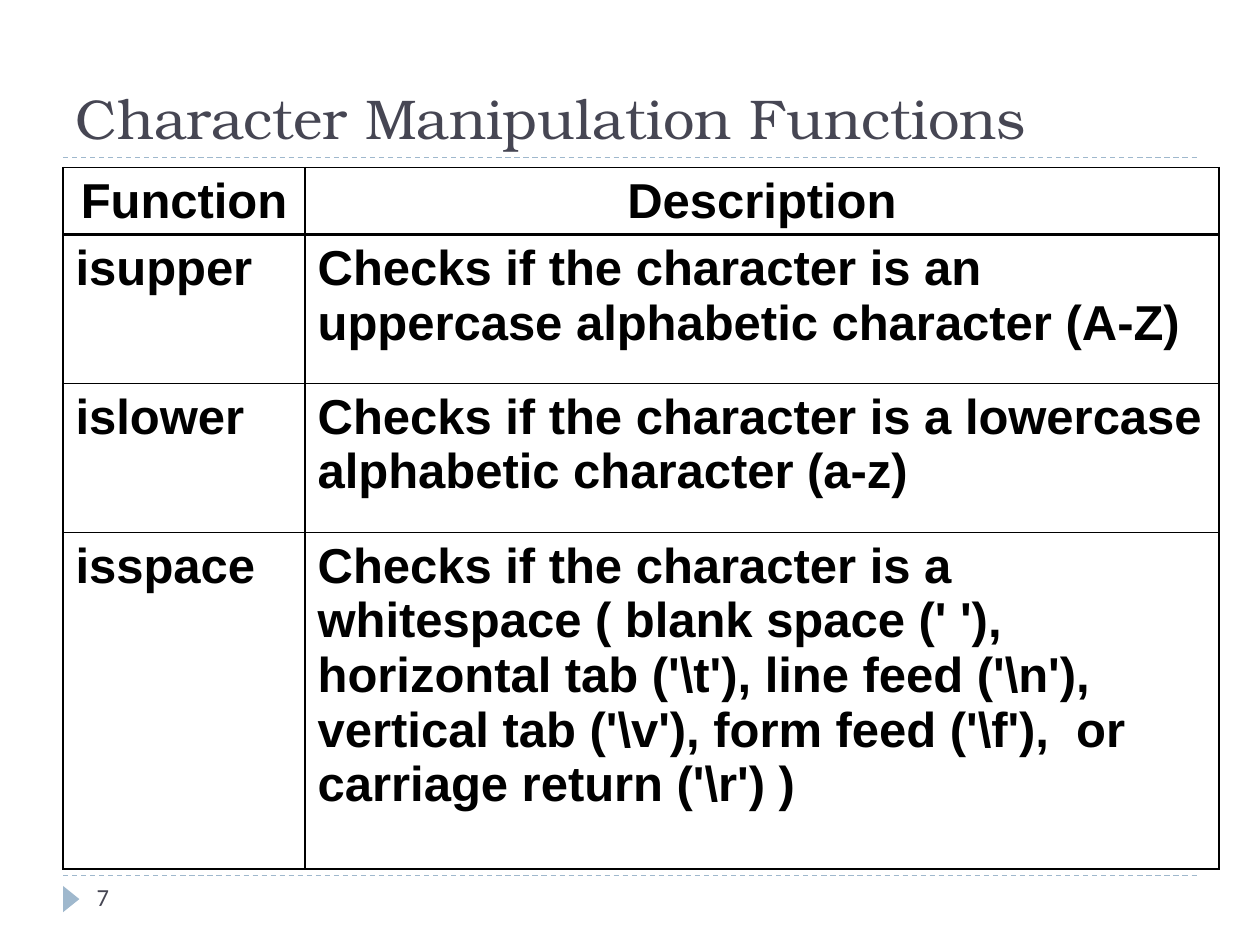
from dataclasses import dataclass

from lxml import etree
from pptx import Presentation
from pptx import util as u
from pptx.dml.color import RGBColor
from pptx.enum import dml, shapes, text
from pptx.oxml.ns import qn


@dataclass(frozen=True)
class Theme:
    ink: RGBColor = RGBColor.from_string("464653")
    accent: RGBColor = RGBColor.from_string("9FB8CD")
    table_ink: RGBColor = RGBColor.from_string("000000")
    title_font: str = "TeX Gyre Bonum"
    table_font: str = "Arial"
    number_font: str = "Calibri"
    title_size: int = 32
    table_size: int = 28
    number_size: int = 14


@dataclass(frozen=True)
class FunctionRow:
    name: str
    description: str
    height: float
    header: bool = False


THEME = Theme()
LEFT, RIGHT = 1.27, 24.13
COLUMN_WIDTHS = (4.88, 18.42)
RULE_HEIGHTS = (17.65, 3.18)
ROWS = (
    FunctionRow("Function", "Description", 1.07, header=True),
    FunctionRow("isupper", "Checks if the character is an uppercase "
                "alphabetic character (A-Z)", 3),
    FunctionRow("islower", "Checks if the character is a lowercase "
                "alphabetic character (a-z)", 3),
    FunctionRow("isspace", "Checks if the character is a whitespace "
                r"( blank space (' '), horizontal tab ('\t'), line feed ('\n'), "
                r"vertical tab ('\v'), form feed ('\f'),  or carriage return ('\r') )",
                6.78),
)


def add_run(paragraph, words: str, font: str, size: int,
            color: RGBColor, bold: bool = False) -> None:
    run = paragraph.add_run()
    run.text = words
    run.font.name = font
    run.font.size = u.Pt(size)
    run.font.bold = bold
    run.font.color.rgb = color


def draw_rule(slide, y: float) -> None:
    rule = slide.shapes.add_connector(shapes.MSO_CONNECTOR.STRAIGHT,
                                      u.Cm(LEFT), u.Cm(y), u.Cm(RIGHT), u.Cm(y))
    rule.line.color.rgb = THEME.accent
    rule.line.width = u.Pt(0.75)
    rule.line.dash_style = dml.MSO_LINE.DASH
    etree.SubElement(rule._element.spPr, qn("a:effectLst"))


def set_border(cell, side: str, points: float) -> None:
    border = etree.SubElement(cell._tc.get_or_add_tcPr(), qn(f"a:ln{side}"),
                              w=str(u.Pt(points)))
    fill = etree.SubElement(border, qn("a:solidFill"))
    etree.SubElement(fill, qn("a:srgbClr"), val=str(THEME.table_ink))


def draw_cell(cell, words: str, row: FunctionRow, below_header: bool) -> None:
    widths = {"L": 1, "R": 1, "T": 2 if below_header else 1,
              "B": 2 if row.header else 1}
    for side, points in widths.items():
        set_border(cell, side, points)
    cell.fill.background()
    paragraph = cell.text_frame.paragraphs[0]
    paragraph.alignment = text.PP_ALIGN.CENTER if row.header else text.PP_ALIGN.LEFT
    add_run(paragraph, words, THEME.table_font, THEME.table_size,
            THEME.table_ink, bold=True)


def draw_function_table(slide) -> None:
    functions = slide.shapes.add_table(
        len(ROWS), len(COLUMN_WIDTHS), u.Cm(LEFT), u.Cm(3.38),
        u.Cm(sum(COLUMN_WIDTHS)), u.Cm(sum(row.height for row in ROWS))).table
    functions.first_row = functions.horz_banding = False
    for column, width in zip(functions.columns, COLUMN_WIDTHS):
        column.width = u.Cm(width)
    for index, row in enumerate(ROWS):
        functions.rows[index].height = u.Cm(row.height)
        below_header = index > 0 and ROWS[index - 1].header
        for column, words in enumerate((row.name, row.description)):
            draw_cell(functions.cell(index, column), words, row, below_header)


def draw_title(slide) -> None:
    title = slide.shapes.title
    title.left, title.top = u.Cm(LEFT), u.Cm(0.43)
    title.width, title.height = u.Cm(RIGHT - LEFT), u.Cm(2.74)
    frame = title.text_frame
    frame.auto_size = text.MSO_AUTO_SIZE.NONE
    frame.vertical_anchor = text.MSO_ANCHOR.BOTTOM
    frame.paragraphs[0].alignment = text.PP_ALIGN.LEFT
    add_run(frame.paragraphs[0], "Character Manipulation Functions",
            THEME.title_font, THEME.title_size, THEME.ink)


def draw_page_number(slide) -> None:
    marker = slide.shapes.add_shape(shapes.MSO_SHAPE.ISOSCELES_TRIANGLE,
                                    u.Cm(1.17), u.Cm(17.96), u.Cm(0.53), u.Cm(0.33))
    marker.rotation = 90
    marker.shadow.inherit = False
    marker.fill.solid()
    marker.fill.fore_color.rgb = THEME.accent
    marker.line.fill.background()

    number = slide.shapes.add_textbox(u.Cm(1.7), u.Cm(17.65), u.Cm(5.51), u.Cm(1.02))
    number.text_frame.word_wrap = True
    add_run(number.text_frame.paragraphs[0], "7", THEME.number_font,
            THEME.number_size, THEME.ink)


def main() -> None:
    deck = Presentation()
    deck.slide_width, deck.slide_height = u.Cm(25.4), u.Cm(19.05)
    slide = deck.slides.add_slide(deck.slide_layouts[5])  # title only

    # Rules above and below the content
    for y in RULE_HEIGHTS:
        draw_rule(slide, y)

    # Title, table and footer
    draw_title(slide)
    draw_function_table(slide)
    draw_page_number(slide)
    deck.save("out.pptx")


if __name__ == "__main__":
    main()
